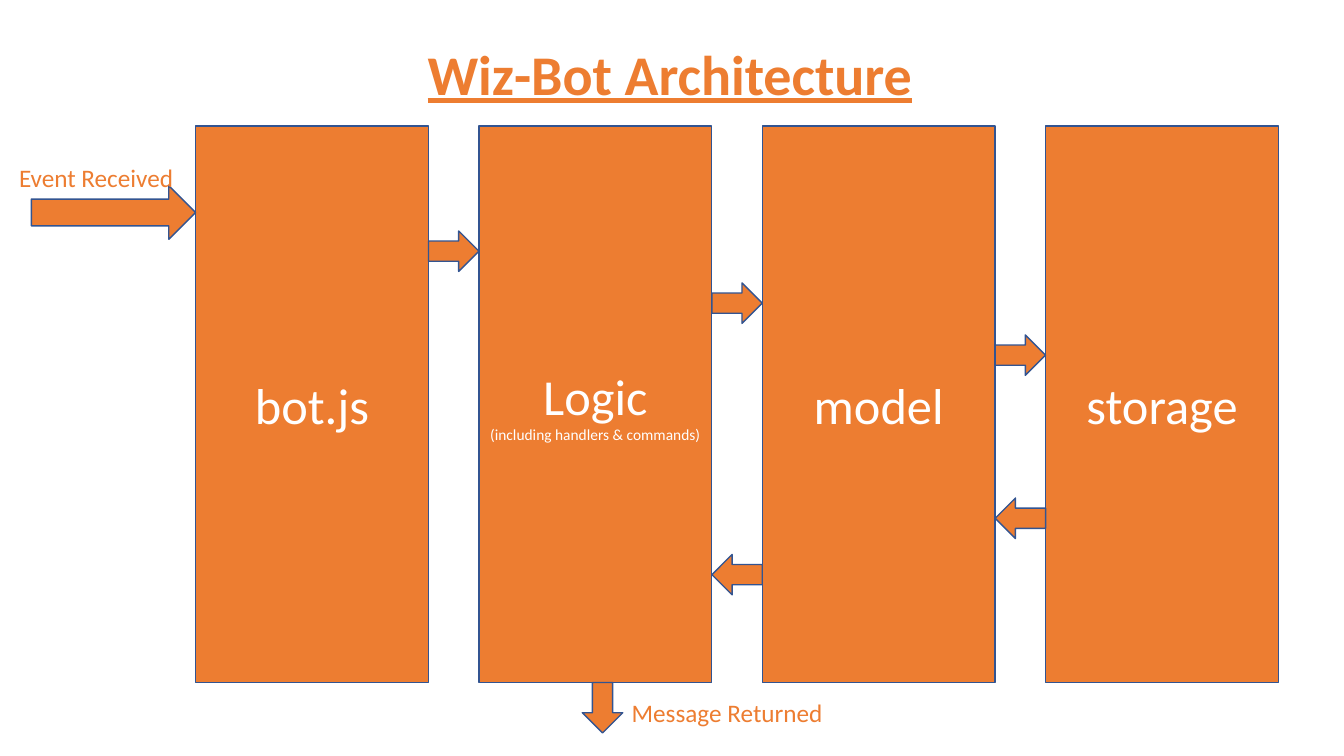
import pptx
import pptx.dml.color
import pptx.enum.shapes
import pptx.enum.text
import pptx.util

Cm = pptx.util.Cm
Align = pptx.enum.text.PP_ALIGN
Anchor = pptx.enum.text.MSO_ANCHOR
Shape = pptx.enum.shapes.MSO_SHAPE

COLOURS = {"orange": "ED7D31", "outline": "325491", "white": "FFFFFF"}
FONT = "Calibri"

COLUMN_WIDTH, COLUMN_GAP = 5.87, 1.27
PITCH = COLUMN_WIDTH + COLUMN_GAP
ARROW_HEIGHT = 1.02
LAYERS = [
    [("bot.js", 36)],
    [("Logic", 36), ("(including handlers & commands)", 11)],
    [("model", 36)],
    [("storage", 36)],
]
# Gap number, distance below the top of the layers, rotation
CALLS = [(gap, 2.64 + 1.31 * gap, 0) for gap in range(3)]
RETURNS = [(2, 9.37, 180), (1, 10.79, 180)]


def colour(name):
    """Return the named colour as an RGB value."""
    return pptx.dml.color.RGBColor.from_string(COLOURS[name])


def write(paragraph, text, size=18, ink="orange", bold=False, underline=False,
          align=Align.LEFT):
    """Put formatted text into a paragraph."""
    paragraph.alignment = align
    run = paragraph.add_run()
    run.text = text
    run.font.name = FONT
    run.font.size = pptx.util.Pt(size)
    run.font.bold = bold
    run.font.underline = underline
    run.font.color.rgb = colour(ink)


def fit_frame(frame):
    """Make a text frame grow with its single unwrapped line."""
    frame.word_wrap = False
    frame.auto_size = pptx.enum.text.MSO_AUTO_SIZE.SHAPE_TO_FIT_TEXT
    frame.vertical_anchor = Anchor.TOP


def add_block(slide, kind, left, top, width, height, rotation=0):
    """Add an orange outlined shape, measured in centimetres."""
    block = slide.shapes.add_shape(kind, Cm(left), Cm(top), Cm(width), Cm(height))
    block.shadow.inherit = False
    block.fill.solid()
    block.fill.fore_color.rgb = colour("orange")
    block.line.color.rgb = colour("outline")
    block.line.width = pptx.util.Pt(1)
    block.rotation = rotation
    return block


def add_caption(slide, text, left, top, width, height):
    """Add a one-line caption beside an arrow."""
    caption = slide.shapes.add_textbox(Cm(left), Cm(top), Cm(width), Cm(height))
    fit_frame(caption.text_frame)
    write(caption.text_frame.paragraphs[0], text)


def add_title(slide, left, top, width, height):
    """Place and format the title placeholder."""
    heading = slide.shapes.title
    heading.left, heading.top = Cm(left), Cm(top)
    heading.width, heading.height = Cm(width), Cm(height)
    fit_frame(heading.text_frame)
    write(heading.text_frame.paragraphs[0], "Wiz-Bot Architecture", size=40,
          bold=True, underline=True)


def add_layers(slide, left, top, height):
    """Draw the architecture layers as equally spaced columns."""
    for number, lines in enumerate(LAYERS):
        layer = add_block(slide, Shape.RECTANGLE, left + number * PITCH, top,
                          COLUMN_WIDTH, height)
        frame = layer.text_frame
        frame.word_wrap = True
        frame.vertical_anchor = Anchor.MIDDLE
        for index, (text, size) in enumerate(lines):
            paragraph = frame.add_paragraph() if index else frame.paragraphs[0]
            write(paragraph, text, size=size, ink="white", align=Align.CENTER)


def add_flow(slide, left, top, height):
    """Draw the arrows between, into and out of the layers."""
    for gap, drop, rotation in CALLS + RETURNS:
        add_block(slide, Shape.RIGHT_ARROW, left + gap * PITCH + COLUMN_WIDTH,
                  top + drop, COLUMN_GAP, ARROW_HEIGHT, rotation)

    event_length = 4.14
    add_block(slide, Shape.RIGHT_ARROW, left - event_length, top + 1.5,
              event_length, 1.35)
    add_caption(slide, "Event Received", left - 4.7, top + 0.78, 4.45, 1.03)

    exit_left = left + PITCH + 2.48
    add_block(slide, Shape.RIGHT_ARROW, exit_left,
              top + height + (COLUMN_GAP - ARROW_HEIGHT) / 2,
              COLUMN_GAP, ARROW_HEIGHT, 90)
    add_caption(slide, "Message Returned", exit_left + 1.12, top + height + 0.25,
                5.38, 1.03)


def build():
    """Build and save the architecture slide."""
    deck = pptx.Presentation()
    deck.slide_width, deck.slide_height = Cm(33.87), Cm(19.05)
    slide = deck.slides.add_slide(deck.slide_layouts[5])
    add_title(slide, 10.52, 0.86, 12.85, 1.96)
    area = {"left": 4.93, "top": 3.18, "height": 14.02}
    add_layers(slide, **area)
    add_flow(slide, **area)
    deck.save("out.pptx")


build()
